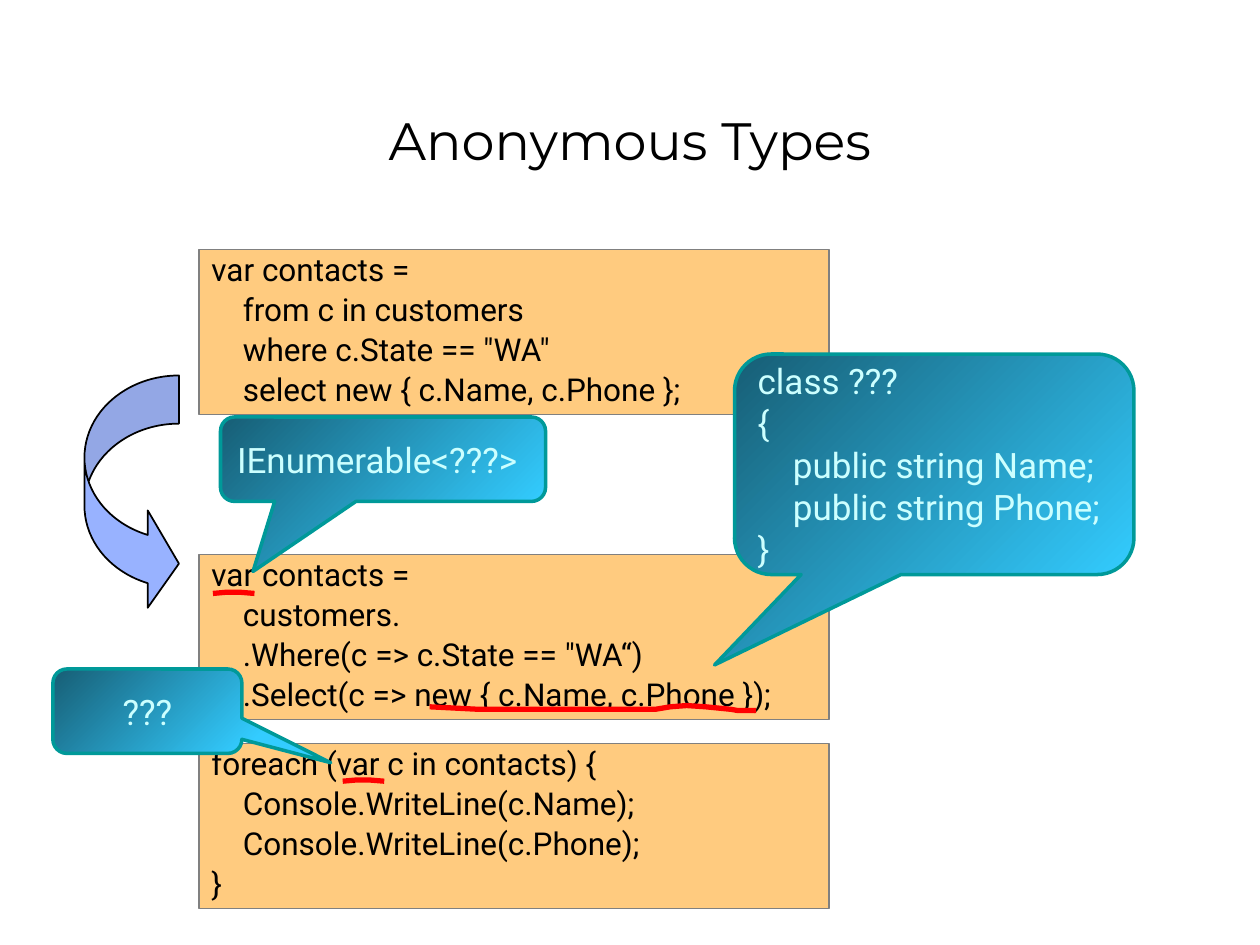
from dataclasses import dataclass

from lxml import etree
from pptx import Presentation
from pptx.dml.color import RGBColor
from pptx.enum.shapes import MSO_SHAPE
from pptx.enum.text import MSO_ANCHOR, MSO_AUTO_SIZE, PP_ALIGN
from pptx.oxml.ns import qn
from pptx.util import Inches, Pt

RECTANGLE = MSO_SHAPE.RECTANGLE
CALLOUT = MSO_SHAPE.ROUNDED_RECTANGULAR_CALLOUT
CURVED_ARROW = MSO_SHAPE.CURVED_RIGHT_ARROW
TOP, MIDDLE = MSO_ANCHOR.TOP, MSO_ANCHOR.MIDDLE
LEFT, CENTER = PP_ALIGN.LEFT, PP_ALIGN.CENTER
GROW = MSO_AUTO_SIZE.SHAPE_TO_FIT_TEXT


@dataclass(frozen=True)
class Theme:
    title_font: str = "Montserrat"
    body_font: str = "Roboto"
    title_size: int = 30
    code_size: int = 18
    callout_size: int = 20
    black: RGBColor = RGBColor(0x00, 0x00, 0x00)
    code_fill: RGBColor = RGBColor(0xFF, 0x99, 0x00)
    code_line: RGBColor = RGBColor(0x80, 0x80, 0x80)
    arrow_fill: RGBColor = RGBColor(0x33, 0x66, 0xFF)
    callout_light: RGBColor = RGBColor(0x33, 0xCC, 0xFF)
    callout_dark: RGBColor = RGBColor(0x17, 0x5E, 0x75)
    callout_line: RGBColor = RGBColor(0x00, 0x99, 0x99)
    callout_text: RGBColor = RGBColor(0xCC, 0xFF, 0xFF)
    marker: RGBColor = RGBColor(0xFF, 0x00, 0x00)


theme = Theme()


def style_half_clear(shape, fill, line):
    """Half-transparent fill with a thin outline."""
    shape.shadow.inherit = False
    shape.fill.solid()
    shape.fill.fore_color.rgb = fill
    color = shape.fill._xPr.find(qn("a:solidFill"))[0]
    etree.SubElement(color, qn("a:alpha"), val="50000")
    shape.line.color.rgb = line
    shape.line.width = Pt(1)


def write_lines(shape, lines, font, size, color, anchor=MIDDLE, align=LEFT,
                spacing=1.0, before=0.0, indent=0.0):
    """Write (level, text) lines, each level moved in by one indent."""
    frame = shape.text_frame
    frame.vertical_anchor = anchor
    for number, (level, text) in enumerate(lines):
        para = frame.paragraphs[0] if number == 0 else frame.add_paragraph()
        para.alignment = align
        para.line_spacing = spacing
        para.space_before = Pt(before)
        if level:
            properties = para._p.get_or_add_pPr()
            properties.set("marL", str(Inches(level * indent)))
            properties.set("indent", "0")
        span = para.add_run()
        span.text = text
        span.font.name = font
        span.font.size = Pt(size)
        span.font.color.rgb = color


deck = Presentation()
deck.slide_width, deck.slide_height = Inches(10), Inches(7.5)
page = deck.slides.add_slide(deck.slide_layouts[6])

# Title
title = page.shapes.add_textbox(Inches(0), Inches(0.53), Inches(10), Inches(1.25))
title.text_frame.word_wrap = True
write_lines(title, [(0, "Anonymous Types")], theme.title_font, theme.title_size,
            theme.black, align=CENTER, spacing=0.8)

# Code boxes
code_boxes = [
    (1.98, [(0, "var contacts ="),
            (1, "from c in customers"),
            (1, 'where c.State == "WA"'),
            (1, "select new { c.Name, c.Phone };")]),
    (4.4, [(0, "var contacts ="),
           (1, "customers."),
           (1, '.Where(c => c.State == "WA“)'),
           (1, ".Select(c => new { c.Name, c.Phone });")]),
    (5.9, [(0, "foreach (var c in contacts) {"),
           (1, "Console.WriteLine(c.Name);"),
           (1, "Console.WriteLine(c.Phone);"),
           (0, "}")]),
]
for top, lines in code_boxes:
    box = page.shapes.add_shape(RECTANGLE, Inches(1.58), Inches(top),
                                Inches(5), Inches(1.31))
    style_half_clear(box, theme.code_fill, theme.code_line)
    box.text_frame.word_wrap = True
    box.text_frame.auto_size = GROW
    write_lines(box, lines, theme.body_font, theme.code_size, theme.black,
                anchor=TOP, spacing=0.85, before=4.5, indent=0.25)

# Curved arrow from the query to its translation
arrow = page.shapes.add_shape(CURVED_ARROW, Inches(0.67), Inches(2.98),
                              Inches(0.75), Inches(1.88))
for index, value in enumerate((0.51, 1.03, 0.33)):
    arrow.adjustments[index] = value
style_half_clear(arrow, theme.arrow_fill, theme.black)

# Callouts: left, top, width, height, pointer tip, alignment, lines
callouts = [
    (5.83, 2.81, 3.17, 1.75, (-0.55, 0.91), LEFT,
     [(0, "class ???"), (0, "{"), (1, "public string Name;"),
      (1, "public string Phone;"), (0, "}")]),
    (1.75, 3.31, 2.58, 0.67, (-0.4, 1.33), LEFT, [(0, "IEnumerable<???>")]),
    (0.42, 5.31, 1.5, 0.67, (0.97, 0.61), CENTER, [(0, "???")]),
]
for left, top, width, height, tip, align, lines in callouts:
    callout = page.shapes.add_shape(CALLOUT, Inches(left), Inches(top),
                                    Inches(width), Inches(height))
    callout.adjustments[0], callout.adjustments[1] = tip
    callout.shadow.inherit = False
    callout.fill.gradient()
    callout.fill.gradient_angle = 135
    stops = callout.fill.gradient_stops
    stops[0].color.rgb = theme.callout_light
    stops[1].color.rgb = theme.callout_dark
    callout.line.color.rgb = theme.callout_line
    callout.line.width = Pt(2)
    callout.text_frame.word_wrap = False
    write_lines(callout, lines, theme.body_font, theme.callout_size,
                theme.callout_text, align=align, indent=0.28)

# Hand-drawn red underlines
underlines = [
    [(3.41, 5.61), (3.8, 5.63), (4.3, 5.63), (5.2, 5.63), (5.32, 5.61),
     (5.45, 5.6), (5.6, 5.61), (5.8, 5.63), (5.86, 5.64), (6, 5.64)],
    [(1.69, 4.71), (1.8, 4.7), (1.9, 4.7), (2.02, 4.71)],
    [(2.72, 6.2), (2.83, 6.19), (2.93, 6.19), (3.05, 6.2)],
]
for points in underlines:
    start, *rest = [(Inches(x), Inches(y)) for x, y in points]
    builder = page.shapes.build_freeform(*start)
    builder.add_line_segments(rest, close=False)
    stroke = builder.convert_to_shape()
    stroke.shadow.inherit = False
    stroke.fill.background()
    stroke.line.color.rgb = theme.marker
    stroke.line.width = Pt(3)

deck.save("out.pptx")
